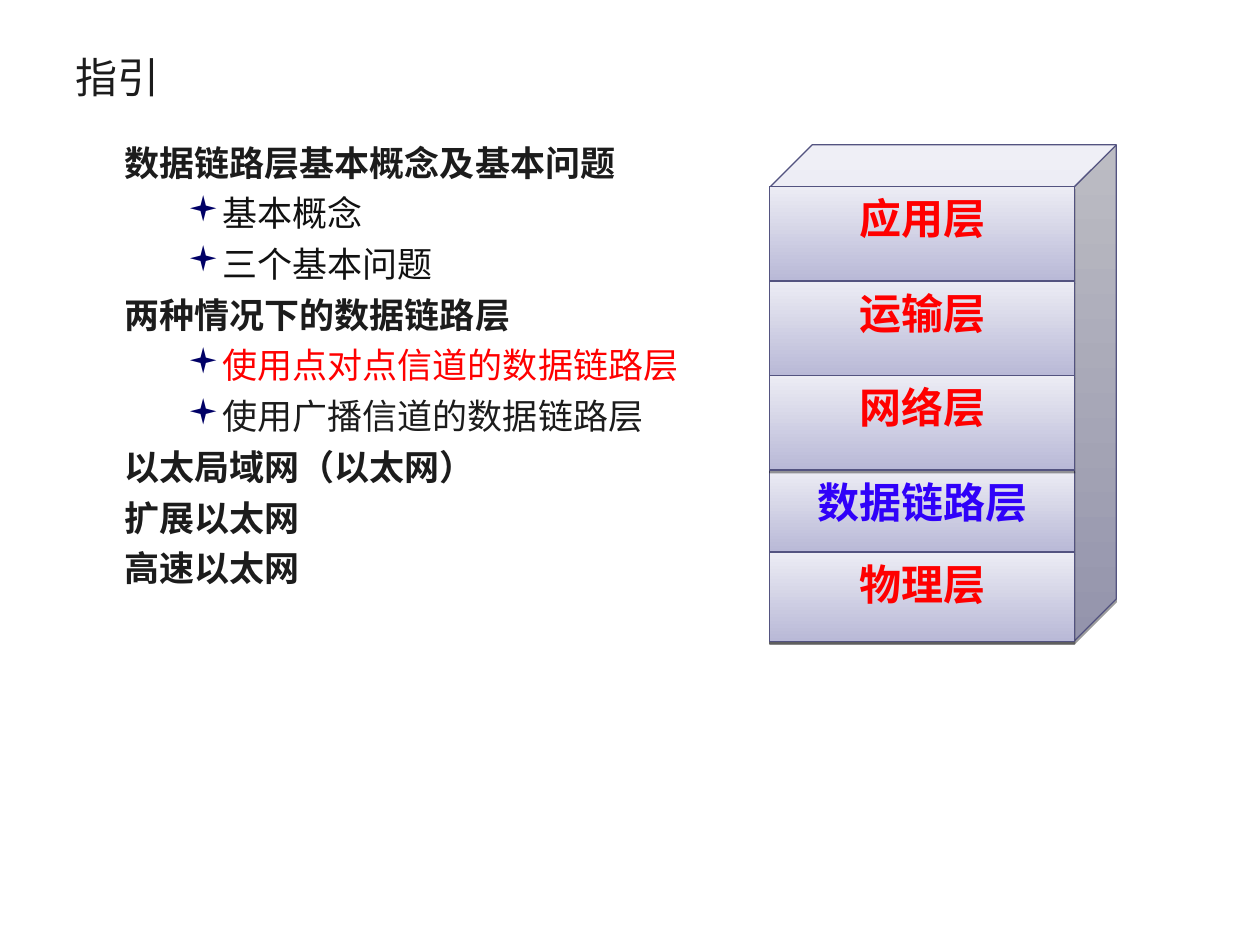
"""Build the guide slide with an outline and a stack of network layers."""
import pptx
import pptx.util
import pptx.dml.color
import pptx.enum.shapes
import pptx.enum.text
import pptx.oxml.ns
from lxml import etree

Inches = pptx.util.Inches
Pt = pptx.util.Pt
RGBColor = pptx.dml.color.RGBColor
SHAPES = pptx.enum.shapes.MSO_SHAPE
qn = pptx.oxml.ns.qn

INK = RGBColor(0x1C, 0x1C, 0x1C)
DARK = RGBColor(0x11, 0x11, 0x11)
RED = RGBColor(0xFF, 0x00, 0x00)
BLUE = RGBColor(0x30, 0x01, 0xF9)
NAVY = RGBColor(0x00, 0x00, 0x66)
EDGE = RGBColor(0x53, 0x53, 0x80)
LILAC = RGBColor(0xB9, 0xB9, 0xD7)
PALE = RGBColor(0xEC, 0xEC, 0xF4)
SANS = "Noto Sans CJK SC"


def add_span(para, text, size, color, bold=False, font=SANS):
    span = para.add_run()
    span.text = text
    span.font.size = Pt(size)
    span.font.bold = bold
    span.font.color.rgb = color
    span.font.name = font
    etree.SubElement(span.font._element, qn("a:ea"), typeface=font)


def style_block(shape):
    shape.fill.gradient()
    shape.fill.gradient_angle = 90
    for stop, color in zip(shape.fill.gradient_stops, (LILAC, PALE)):
        stop.color.rgb = color
    shape.line.color.rgb = EDGE
    shape.line.width = Pt(0.75)
    effects = etree.SubElement(shape._element.spPr, qn("a:effectLst"))
    shadow = etree.SubElement(effects, qn("a:outerShdw"), blurRad="0", dist=str(Pt(1.6)),
                              dir="5400000", algn="ctr", rotWithShape="0")
    tint = etree.SubElement(shadow, qn("a:srgbClr"), val="000000")
    etree.SubElement(tint, qn("a:alpha"), val="38000")


deck = pptx.Presentation()
deck.slide_width, deck.slide_height = Inches(10), Inches(7.5)
page = deck.slides.add_slide(deck.slide_layouts[6])

title = page.shapes.add_textbox(Inches(0.5), Inches(0.3), Inches(9), Inches(0.61)).text_frame
title.word_wrap = True
title.vertical_anchor = pptx.enum.text.MSO_ANCHOR.MIDDLE
add_span(title.paragraphs[0], "指引", 24, INK)

outline = [
    (0, "数据链路层基本概念及基本问题", INK),
    (1, "基本概念", DARK),
    (1, "三个基本问题", DARK),
    (0, "两种情况下的数据链路层", INK),
    (1, "使用点对点信道的数据链路层", RED),
    (1, "使用广播信道的数据链路层", INK),
    (0, "以太局域网（以太网）", INK),
    (0, "扩展以太网", INK),
    (0, "高速以太网", INK),
]
body = page.shapes.add_textbox(Inches(0.5), Inches(1.07), Inches(9), Inches(5.23)).text_frame
body.word_wrap = True
for index, (level, text, color) in enumerate(outline):
    para = body.add_paragraph() if index else body.paragraphs[0]
    para.level = level
    props = para._p.get_or_add_pPr()
    props.set("marL", str(Inches(0.9 if level else 0.38)))
    props.set("indent", str(Inches(-0.01 if level else 0.01)))
    if level:
        bullet_color = etree.SubElement(props, qn("a:buClr"))
        etree.SubElement(bullet_color, qn("a:srgbClr"), val=str(NAVY))
        etree.SubElement(props, qn("a:buFont"), typeface="Wingdings", charset="2")
        etree.SubElement(props, qn("a:buChar"), char="▪")
    para.space_before = Pt(5 if index else 0)
    add_span(para, text, 20, color, bold=level == 0)

stack = page.shapes.add_group_shape().shapes
cube = stack.add_shape(SHAPES.CUBE, Inches(6.11), Inches(1.15), Inches(2.75), Inches(3.94))
cube.adjustments[0] = 0.122
style_block(cube)

left, right = 6.11, 8.53
layers = [
    ("应用层", 1.48, 0.75, RED, SANS, 2.23, [2.23]),
    ("运输层", 2.23, 0.75, RED, SANS, 2.98, [2.98]),
    ("数据链路层", 3.73, 0.65, BLUE, "Roboto", 4.9, [3.73, 4.9]),
    ("网络层", 2.98, 0.75, RED, SANS, 3.73, []),
    ("物理层", 4.38, 0.71, RED, "Roboto", None, []),
]
for name, top, height, color, font, side_end, rules in layers:
    layer = stack.add_shape(SHAPES.RECTANGLE, Inches(left), Inches(top),
                            Inches(right - left), Inches(height))
    style_block(layer)
    layer.text_frame.vertical_anchor = pptx.enum.text.MSO_ANCHOR.TOP
    para = layer.text_frame.paragraphs[0]
    para.alignment = pptx.enum.text.PP_ALIGN.CENTER
    add_span(para, name, 24, color, True, font)
    edges = [(left, rule, right, rule) for rule in rules]
    if side_end:
        edges += [(x, top, x, side_end) for x in (left, right)]
    for ends in edges:
        edge = stack.add_connector(pptx.enum.shapes.MSO_CONNECTOR.STRAIGHT,
                                   *[Inches(value) for value in ends])
        edge.line.color.rgb = EDGE
        edge.line.width = Pt(0.75)
        etree.SubElement(edge._element.spPr, qn("a:effectLst"))

deck.save("out.pptx")
